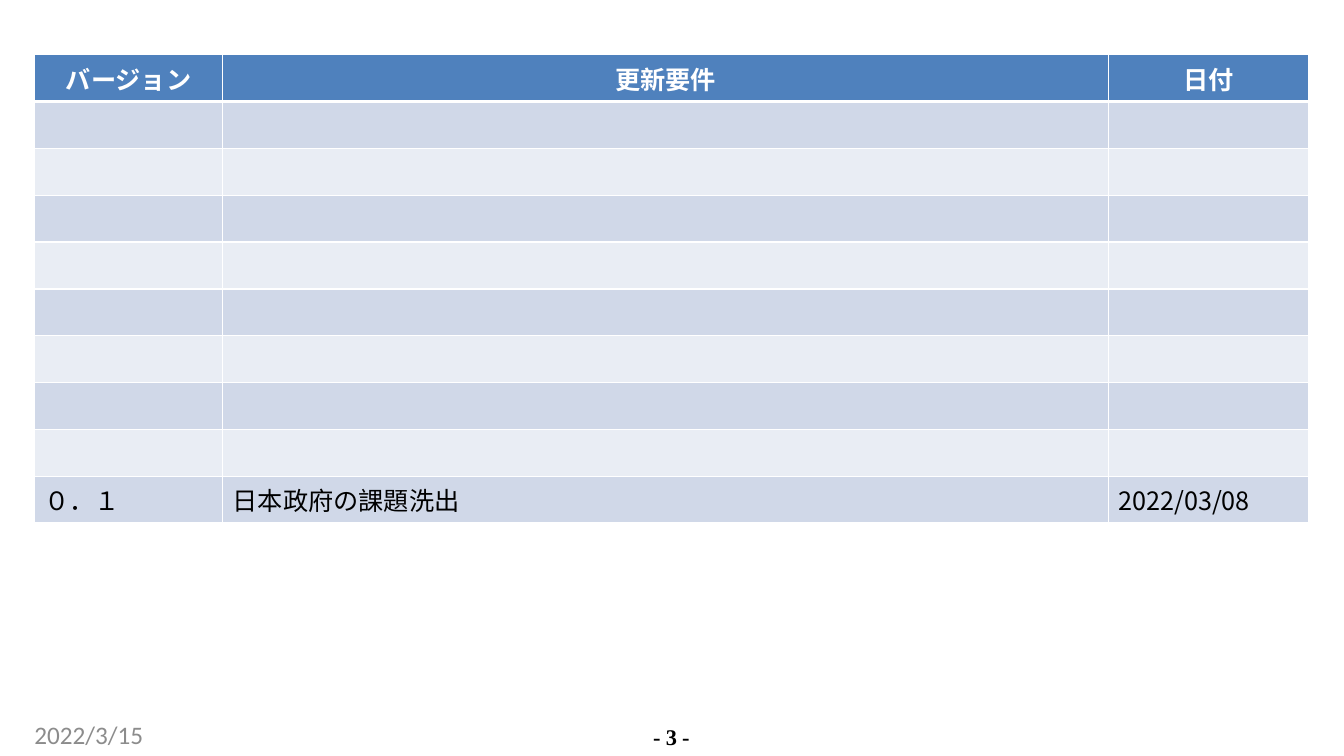
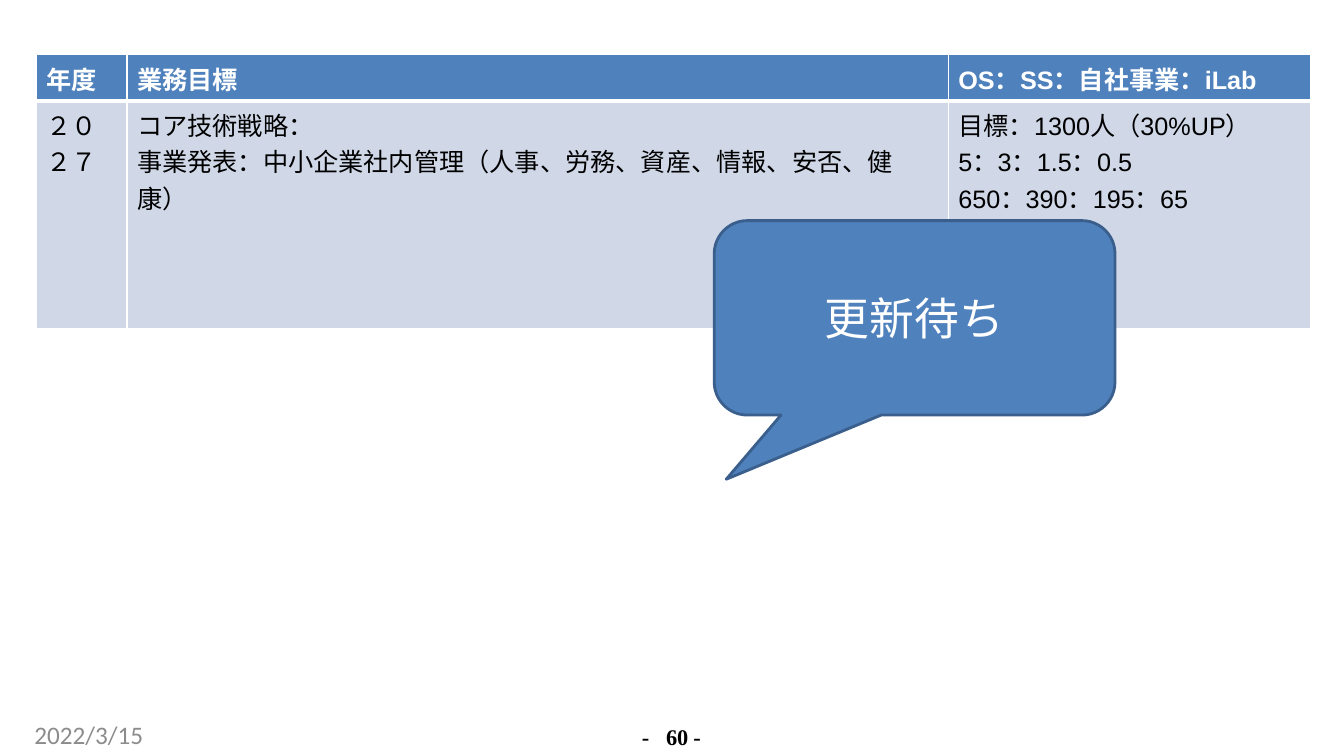
from lxml import etree
from pptx import Presentation
from pptx import util as u
from pptx.dml.color import RGBColor
from pptx.enum import shapes, text
from pptx.oxml.ns import qn

WHITE, BLACK, GRAY = "FFFFFF", "000000", "8C8C8C"
BLUE, DARK_BLUE = "4F81BD", "3A5F8C"
BANDS = ("D0D8E8", "E9EDF4")
CJK = "Noto Sans CJK SC"
LEFT, CENTER = text.PP_ALIGN.LEFT, text.PP_ALIGN.CENTER


def color(value):
    return RGBColor.from_string(value)


def style(paragraph, name, size, ink, bold=False, align=LEFT):
    paragraph.alignment = align
    font = paragraph.font
    font.size, font.bold, font.name = u.Pt(size), bold, name
    font.color.rgb = color(ink)
    defaults = paragraph._p.pPr.find(qn("a:defRPr"))
    etree.SubElement(defaults, qn("a:ea")).set("typeface", CJK)
    return defaults


def set_borders(cell, top, bottom):
    props = cell._tc.get_or_add_tcPr()
    widths = {"lnL": 1, "lnR": 1, "lnT": top, "lnB": bottom}
    for position, (side, width) in enumerate(widths.items()):
        line = etree.Element(qn("a:" + side), w=str(u.Pt(width)))
        fill = etree.SubElement(line, qn("a:solidFill"))
        etree.SubElement(fill, qn("a:srgbClr"), val=WHITE)
        props.insert(position, line)


def add_grid(slide, box, widths, heights, rows, font, header_align):
    left, top = box
    table = slide.shapes.add_table(
        len(rows), len(widths), u.Cm(left), u.Cm(top),
        u.Cm(sum(widths)), u.Cm(sum(heights))).table
    for column, width in zip(table.columns, widths):
        column.width = u.Cm(width)
    for index, (row, height) in enumerate(zip(table.rows, heights)):
        row.height = u.Cm(height)
        header = index == 0
        for cell, content in zip(row.cells, rows[index]):
            cell.text = content
            cell.fill.solid()
            cell.fill.fore_color.rgb = color(BLUE if header else BANDS[(index - 1) % 2])
            set_borders(cell, 3 if index == 1 else 1, 3 if header else 1)
            for paragraph in cell.text_frame.paragraphs:
                style(paragraph, font, 18, WHITE if header else BLACK, header,
                      header_align if header else LEFT)


def add_label(slide, box, content):
    frame = slide.shapes.add_textbox(*map(u.Cm, box)).text_frame
    frame.word_wrap = True
    frame.margin_left = frame.margin_right = frame.margin_top = frame.margin_bottom = 0
    frame.text = content
    return frame.paragraphs[0]


def add_footer(slide, box, page):
    left, top = box
    date = add_label(slide, (left, top, 7.8, 0.76), "2022/3/15")
    style(date, "Calibri", 18, GRAY)
    number = add_label(slide, (left + 14.96, top + 0.13, 2.18, 0.64), page)
    number.line_spacing = u.Pt(18.4)
    defaults = style(number, "Times New Roman", 16, BLACK, True, CENTER)
    defaults.set("spc", "-10")
    tabs = etree.Element(qn("a:tabLst"))
    etree.SubElement(tabs, qn("a:tab"), pos=str(u.Cm(0.61)), algn="l")
    defaults.addprevious(tabs)


def add_callout(slide, box, content):
    callout = slide.shapes.add_shape(
        shapes.MSO_SHAPE.ROUNDED_RECTANGULAR_CALLOUT, *map(u.Cm, box))
    for index, value in enumerate((-0.47, 0.83, 0.17)):
        callout.adjustments[index] = value
    callout.shadow.inherit = False
    callout.fill.solid()
    callout.fill.fore_color.rgb = color(BLUE)
    callout.line.color.rgb = color(DARK_BLUE)
    callout.line.width = u.Pt(2)
    frame = callout.text_frame
    frame.text = content
    frame.vertical_anchor = text.MSO_ANCHOR.MIDDLE
    style(frame.paragraphs[0], "Calibri", 32, WHITE, align=CENTER)


def add_page(deck, page):
    slide = deck.slides.add_slide(deck.slide_layouts[6])
    add_footer(slide, (0.87, 18.13), page)
    return slide


def add_history(deck):
    slide = add_page(deck, "- 3 -")
    rows = [("バージョン", "更新要件", "日付"), *[("", "", "")] * 8,
            ("０．１", "日本政府の課題洗出", "2022/03/08")]
    add_grid(slide, (0.87, 1.38), (4.74, 22.32, 5.05), [1.18] * len(rows),
             rows, CJK, CENTER)


def add_goals(deck):
    slide = add_page(deck, "-\t60 -")
    rows = [
        ("年度", "業務目標", "OS：SS：自社事業：iLab"),
        ("２０２７",
         "コア技術戦略：\n事業発表：中小企業社内管理（人事、労務、資産、情報、安否、健康）",
         "目標：1300人（30%UP）\n5：3：1.5：0.5\n650：390：195：65"),
    ]
    add_grid(slide, (0.92, 1.38), (2.28, 20.7, 9.12), (1.17, 5.74),
             rows, "Arial", LEFT)
    add_callout(slide, (18, 5.56, 10.1, 4.9), "更新待ち")


def main():
    deck = Presentation()
    deck.slide_width, deck.slide_height = u.Cm(33.87), u.Cm(19.05)
    add_history(deck)
    add_goals(deck)
    deck.save("out.pptx")


if __name__ == "__main__":
    main()
